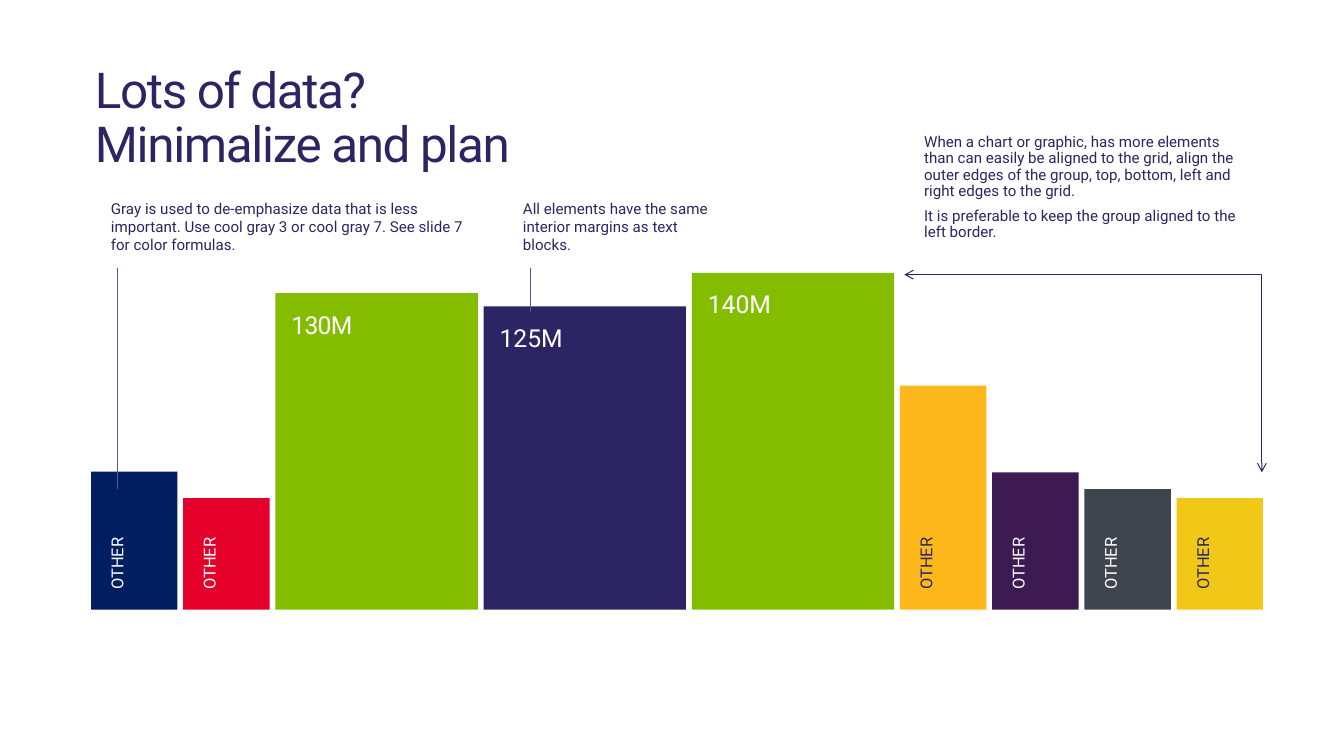
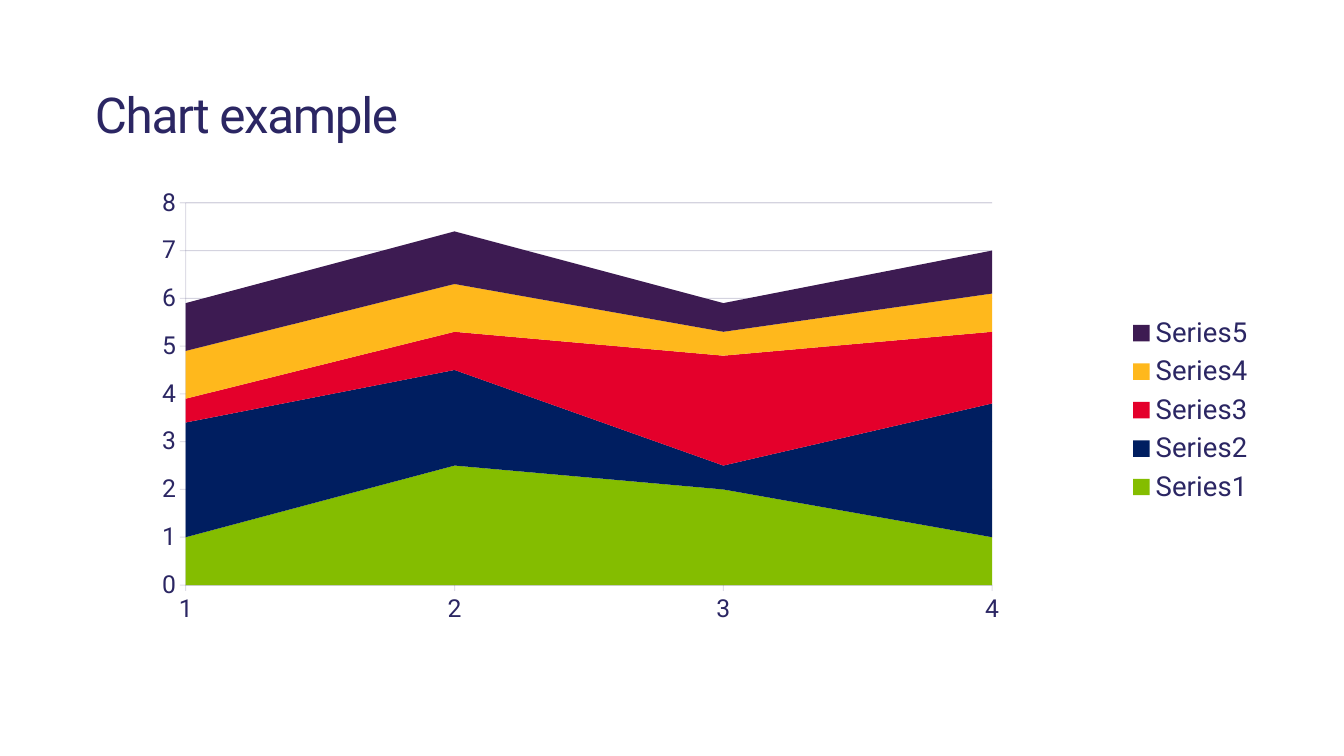
from lxml.etree import SubElement
from pptx import Presentation
from pptx.chart.data import CategoryChartData
from pptx.dml.color import RGBColor
from pptx.enum.chart import XL_CHART_TYPE, XL_LEGEND_POSITION, XL_TICK_MARK
from pptx.enum.shapes import MSO_CONNECTOR, MSO_SHAPE
from pptx.enum.text import MSO_ANCHOR, MSO_AUTO_SIZE, PP_ALIGN
from pptx.oxml import parse_xml
from pptx.oxml.ns import nsdecls, qn
from pptx.util import Cm, Pt

COLORS = {
    "ink": "2B2663", "white": "FFFFFF", "green": "84BD00", "navy": "001E60",
    "red": "E4002B", "amber": "FFB81C", "plum": "3D1B52", "slate": "3F454F",
    "yellow": "F2C818", "callout": "5950BC",
}
FONT = "Roboto"
TITLE_FRAME = {
    "margin_left": Cm(0.41), "margin_right": Cm(0.41),
    "margin_top": Cm(0.25), "margin_bottom": Cm(0.25),
    "vertical_anchor": MSO_ANCHOR.TOP, "word_wrap": True,
    "auto_size": MSO_AUTO_SIZE.NONE,
}
BLOCK_FRAME = TITLE_FRAME | {
    "margin_left": Cm(0.51), "margin_right": Cm(0.51),
    "margin_top": Cm(0.41), "margin_bottom": Cm(0.41),
}
TIGHT = {"line_spacing": 0.9}

BAR_GAP, NARROW, WIDE = 0.15, 2.22, 5.2
# label, width, height, fill, text colour, letter spacing
BARS = [
    ("OTHER", NARROW, 3.55, "navy", "white", 0),
    ("OTHER", NARROW, 2.87, "red", "white", 0),
    ("130M", WIDE, 8.14, "green", "white", -0.5),
    ("125M", WIDE, 7.8, "ink", "white", 0),
    ("140M", WIDE, 8.66, "green", "white", 0),
    ("OTHER", NARROW, 5.76, "amber", "ink", 0),
    ("OTHER", NARROW, 3.53, "plum", "white", 0),
    ("OTHER", NARROW, 3.1, "slate", "white", 0),
    ("OTHER", NARROW, 2.87, "yellow", "ink", 0),
]
SERIES = [
    ("Series1", "green", (1, 2.5, 2, 1)),
    ("Series2", "navy", (2.4, 2, 0.5, 2.8)),
    ("Series3", "red", (0.5, 0.8, 2.3, 1.5)),
    ("Series4", "amber", (1, 1, 0.5, 0.8)),
    ("Series5", "plum", (1, 1.1, 0.6, 0.9)),
]


def rgb(name):
    return RGBColor.from_string(COLORS[name])


def apply(target, values):
    for attribute, value in values.items():
        setattr(target, attribute, value)


def style_font(font, size, color="ink"):
    apply(font, {"name": FONT, "size": Pt(size)})
    font.color.rgb = rgb(color)


def write(frame, paragraphs, size, color="ink", frame_format=BLOCK_FRAME,
          paragraph_format=None, tracking=0):
    """Fill a text frame; tracking is the letter spacing in points."""
    apply(frame, frame_format)
    frame.text = "\n".join(paragraphs)
    layout = {"alignment": PP_ALIGN.LEFT} | (paragraph_format or {})
    for paragraph in frame.paragraphs:
        apply(paragraph, layout)
        for run in paragraph.runs:
            style_font(run.font, size, color)
            if tracking:
                run.font._element.set("spc", str(round(tracking * 100)))


def add_titled_slide(deck, title, top, height):
    slide = deck.slides.add_slide(deck.slide_layouts[5])
    heading = slide.shapes.title
    apply(heading, {"left": Cm(2.03), "top": Cm(top),
                    "width": Cm(31.75), "height": Cm(height)})
    write(heading.text_frame, [title], 36, frame_format=TITLE_FRAME,
          paragraph_format=TIGHT | {"space_before": Pt(0)}, tracking=-1)
    return slide


def add_bar(slide, left, bottom, bar):
    """Draw a bar turned on its side, so that its label runs upwards if narrow."""
    label, width, height, fill, color, tracking = bar
    block = slide.shapes.add_shape(
        MSO_SHAPE.RECTANGLE,
        Cm(left + (width - height) / 2), Cm(bottom - (height + width) / 2),
        Cm(height), Cm(width))
    block.rotation = 270
    block.shadow.inherit = False
    block.fill.solid()
    block.fill.fore_color.rgb = rgb(fill)
    block.line.fill.background()
    is_wide = width == WIDE
    write(block.text_frame, [label], 18 if is_wide else 12, color,
          paragraph_format=TIGHT if is_wide else None, tracking=tracking)
    if is_wide:
        block.text_frame._txBody.bodyPr.set("vert", "vert")


def add_bar_row(slide, left, bottom):
    for bar in BARS:
        add_bar(slide, left, bottom, bar)
        left += bar[1] + BAR_GAP


def add_note(slide, left, top, width, height, paragraphs, paragraph_format=None):
    note = slide.shapes.add_textbox(Cm(left), Cm(top), Cm(width), Cm(height))
    write(note.text_frame, paragraphs, 11, paragraph_format=paragraph_format)


def add_callout(slide, left, top, width, text, pointer_offset, pointer_length):
    """Place a note with a pointer line dropping from below it."""
    add_note(slide, left, top, width, 1.57, [text])
    x, start = left + pointer_offset, top + 2.16
    pointer = slide.shapes.add_connector(
        MSO_CONNECTOR.STRAIGHT, Cm(x), Cm(start), Cm(x), Cm(start + pointer_length))
    pointer.line.color.rgb = rgb("callout")
    pointer.line.width = Pt(0.75)
    SubElement(pointer._element.spPr, qn("a:effectLst"))


def add_edge_arrow(slide, left, top, width, height):
    """Draw an open corner line with an arrowhead at both ends."""
    right = left + width
    outline = slide.shapes.build_freeform(Cm(right), Cm(top + height))
    outline.add_line_segments(
        [(Cm(right), Cm(top)), (Cm(left), Cm(top))], close=False)
    arrow = outline.convert_to_shape()
    arrow.shadow.inherit = False
    arrow.fill.background()
    arrow.line.color.rgb = rgb("ink")
    arrow.line.width = Pt(0.75)
    for end in ("a:headEnd", "a:tailEnd"):
        SubElement(arrow.line._get_or_add_ln(), qn(end), type="arrow")


def add_grid_slide(deck):
    slide = add_titled_slide(deck, "Lots of data? \vMinimalize and plan", 1.45, 2.08)
    add_bar_row(slide, 2.34, 15.67)
    add_callout(
        slide, 2.34, 4.72, 10.36,
        "Gray is used to de-emphasize data that is less important. Use cool gray 3 "
        "or cool gray 7. See slide 7 for color formulas.", 0.68, 5.69)
    add_callout(
        slide, 12.93, 4.72, 5.94,
        "All elements have the same interior margins as text blocks.", 0.71, 1.14)
    add_note(slide, 23.24, 3.05, 9.47, 5.69, [
        "When a chart or graphic, has more elements than can easily be aligned to "
        "the grid, align the outer edges of the group, top, bottom, left and right "
        "edges to the grid.",
        "It is preferable to keep the group aligned to the left border.",
    ], TIGHT | {"space_after": Pt(6)})
    add_edge_arrow(slide, 23.24, 7.06, 9.19, 5.08)


def style_faint_line(line, opacity):
    line.color.rgb = rgb("ink")
    line.width = Pt(0.75)
    ink = line._get_or_add_ln().find(".//" + qn("a:srgbClr"))
    SubElement(ink, qn("a:alpha"), val=str(opacity * 1000))


def place_plot(chart, x, y, w, h):
    """Fix the inner plot area as fractions of the chart."""
    area = chart._chartSpace.chart.plotArea
    for layout in area.findall(qn("c:layout")):
        area.remove(layout)
    places = "".join(f'<c:{tag} val="{value}"/>'
                     for tag, value in zip("xywh", (x, y, w, h)))
    area.insert(0, parse_xml(
        f'<c:layout {nsdecls("c")}><c:manualLayout><c:layoutTarget val="inner"/>'
        f'<c:xMode val="edge"/><c:yMode val="edge"/>{places}'
        '</c:manualLayout></c:layout>'))
    for crossing in area.iter(qn("c:crossBetween")):
        crossing.set("val", "midCat")


def add_area_chart(slide, left, top, width, height):
    data = CategoryChartData()
    data.categories = ["1", "2", "3", "4"]
    for name, _, values in SERIES:
        data.add_series(name, values)
    chart = slide.shapes.add_chart(
        XL_CHART_TYPE.AREA_STACKED, Cm(left), Cm(top), Cm(width), Cm(height),
        data).chart
    apply(chart, {"has_title": False, "has_legend": True})
    style_font(chart.font, 18)
    apply(chart.legend, {"position": XL_LEGEND_POSITION.RIGHT,
                         "include_in_layout": False})
    style_font(chart.legend.font, 20)
    chart.plots[0].vary_by_categories = False
    for series, (_, color, _) in zip(chart.plots[0].series, SERIES):
        series.format.fill.solid()
        series.format.fill.fore_color.rgb = rgb(color)
    for axis in (chart.category_axis, chart.value_axis):
        apply(axis, {"major_tick_mark": XL_TICK_MARK.OUTSIDE,
                     "minor_tick_mark": XL_TICK_MARK.NONE})
        style_faint_line(axis.format.line, 15)
    chart.category_axis.has_major_gridlines = False
    apply(chart.value_axis, {"minimum_scale": 0, "maximum_scale": 8,
                             "major_unit": 1, "has_major_gridlines": True})
    style_faint_line(chart.value_axis.major_gridlines.format.line, 20)
    place_plot(chart, 0.09, 0.05, 0.68, 0.83)


def add_chart_slide(deck):
    slide = add_titled_slide(deck, "Chart example", 2.08, 2.54)
    add_area_chart(slide, 2.03, 4.62, 30.48, 11.84)


def main():
    deck = Presentation()
    apply(deck, {"slide_width": Cm(34.54), "slide_height": Cm(19.43)})
    add_grid_slide(deck)
    add_chart_slide(deck)
    deck.save("out.pptx")


if __name__ == "__main__":
    main()
